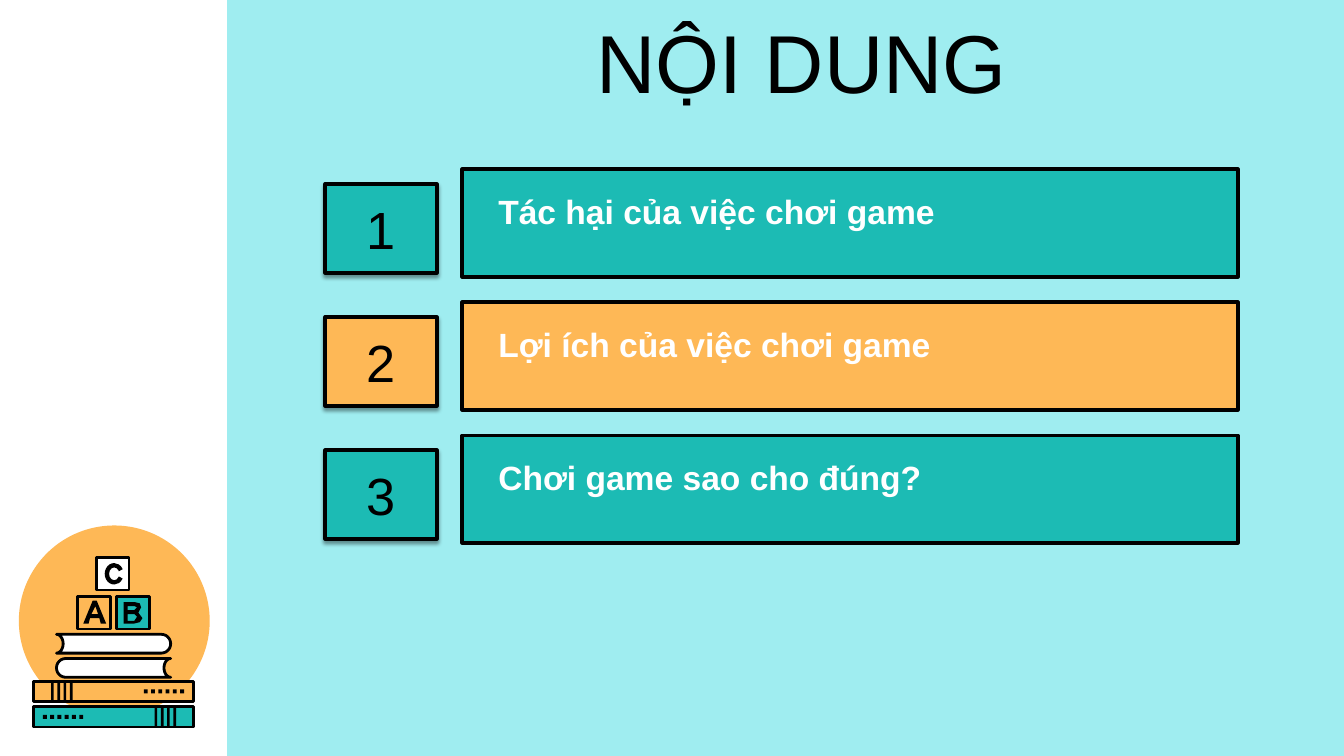
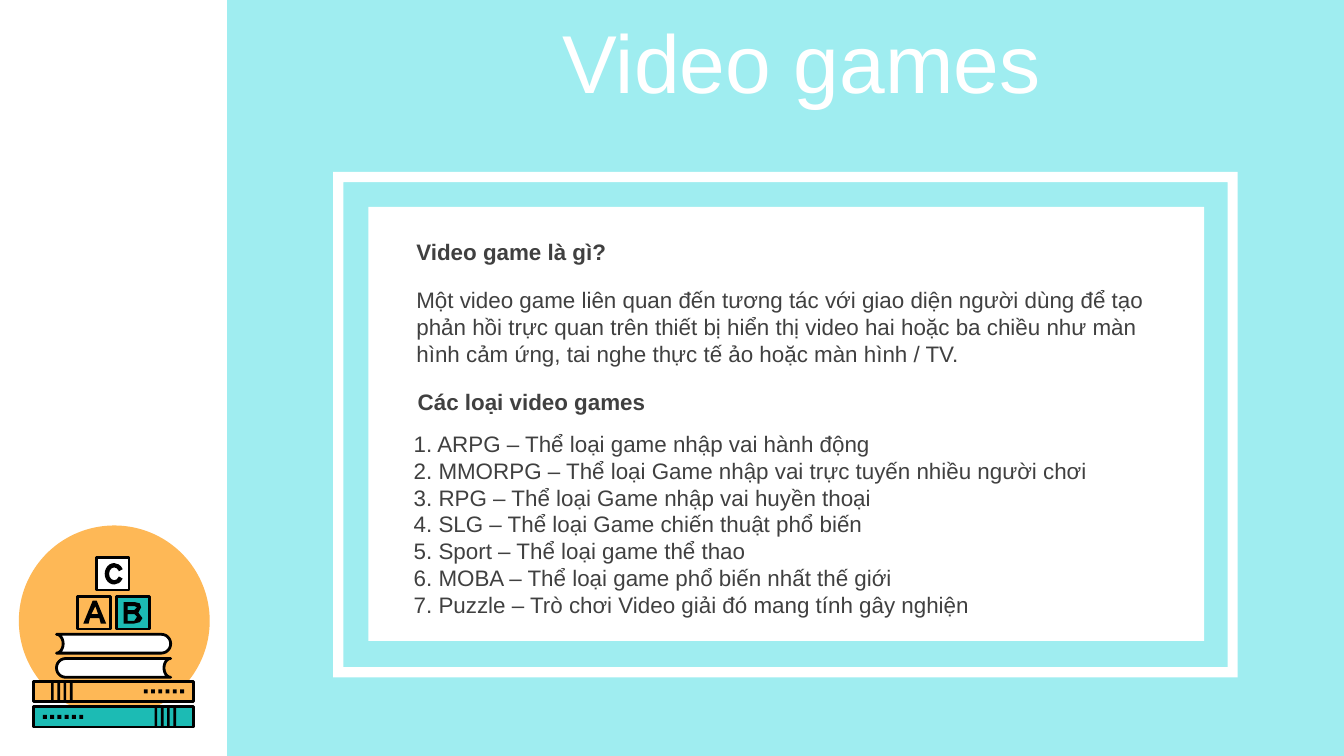
from dataclasses import dataclass
from math import cos, radians, sin

from lxml import etree
from pptx import Presentation
from pptx.dml.color import RGBColor as RGB
from pptx.enum.shapes import MSO_SHAPE as Kind
from pptx.enum.text import MSO_ANCHOR as Anchor, MSO_AUTO_SIZE as Fit, PP_ALIGN as Align
from pptx.oxml.ns import qn
from pptx.util import Inches, Pt


@dataclass(frozen=True)
class Theme:
    aqua: str = "9FEDF0"
    teal: str = "1CBBB4"
    gold: str = "FEB856"
    white: str = "FFFFFF"
    black: str = "000000"
    gray: str = "404040"
    font: str = "Arial"
    title: int = 44
    number: int = 28
    topic: int = 18
    body: int = 12


look = Theme()


def paint(shape, fill, line=0):
    """Give a shape its fill and, if a width is set, a black outline."""
    shape.shadow.inherit = False
    shape.fill.solid()
    shape.fill.fore_color.rgb = RGB.from_string(fill)
    if line:
        shape.line.color.rgb = RGB.from_string(look.black)
        shape.line.width = Pt(line)
    else:
        shape.line.fill.background()
    return shape


def write(shape, lines, size, color, bold=False, align=Align.LEFT, **form):
    """Put one paragraph per line in a shape; form holds frame settings."""
    frame = shape.text_frame
    frame.text = "\n".join(lines)
    for name, value in form.items():
        setattr(frame, name, value)
    style = {"name": look.font, "size": Pt(size), "bold": bold}
    for para in frame.paragraphs:
        para.alignment = align
        for run in para.runs:
            for name, value in style.items():
                setattr(run.font, name, value)
            run.font.color.rgb = RGB.from_string(color)


# Widescreen 16:9
wide = 10
tall = wide * 9 / 16
deck = Presentation()
deck.slide_width, deck.slide_height = Inches(wide), Inches(tall)
base = deck.slide_layouts[5]

# Layout: keep only the title placeholder
for holder in list(base.placeholders):
    if holder.placeholder_format.idx:
        holder.element.getparent().remove(holder.element)
head = base.placeholders[0]
place = {"left": 1.93, "top": 0.03, "width": 8.07, "height": 0.84}
for name, value in place.items():
    setattr(head, name, Inches(value))

# Titles
pages = []
for text, color in (("NỘI DUNG", look.black), ("Video games", look.white)):
    page = deck.slides.add_slide(base)
    write(page.shapes.title, [text], look.title, color, align=Align.CENTER,
          auto_size=Fit.NONE, vertical_anchor=Anchor.MIDDLE, word_wrap=True)
    pages.append(page)
menu, games = (page.shapes for page in pages)

# Shared panel and badge: plain parts
span = 1.69
parts = [
    (Kind.RECTANGLE, (span, 0, wide - span, tall), look.aqua, 0),
    (Kind.OVAL, (0.14, 3.91, 1.42, 1.42), look.gold, 0),
]
for top, fill, flip in ((5.07, look.gold, False), (5.26, look.teal, True)):
    parts.append((Kind.RECTANGLE, (0.25, top, 1.19, 0.15), fill, 1.5))
    marks = [(0.38 + 0.14 * i / 3, top, 0.02, 0.15) for i in range(4)]
    marks += [(1.07 + 0.27 * i / 5, top + 0.06, 0.03, 0.03) for i in range(6)]
    for x, y, w, h in marks:
        x = span - x - w if flip else x
        parts.append((Kind.RECTANGLE, (x, y, w, h), look.black, 0))
for x, y, fill in ((0.58, 4.44, look.gold), (0.87, 4.44, look.teal),
                   (0.72, 4.15, look.white)):
    parts.append((Kind.RECTANGLE, (x, y, 0.24, 0.24), fill, 1.5))
parts.append((Kind.BLOCK_ARC, (0.78, 4.19, 0.14, 0.16), look.black, 0))

decor = []
for kind, area, fill, line in parts:
    decor.append(paint(menu.add_shape(kind, *map(Inches, area)), fill, line))
for i, value in enumerate((17.57, 198.9, 0.23)):
    decor[-1].adjustments[i] = value

# Shared badge: block letters and two books
let_a = [[(0.71, 4.51), (0.68, 4.57), (0.73, 4.57)],
         [(0.69, 4.47), (0.72, 4.47), (0.79, 4.64), (0.75, 4.64),
          (0.74, 4.6), (0.67, 4.6), (0.66, 4.64), (0.62, 4.64)]]
let_b = [[(0.95, 4.57), (0.95, 4.62), (1, 4.62), (1.02, 4.59), (1, 4.57)],
         [(0.95, 4.51), (0.95, 4.54), (1, 4.54), (1.02, 4.52), (1, 4.51)],
         [(0.92, 4.48), (1, 4.48), (1.04, 4.49), (1.05, 4.52), (1.03, 4.56),
          (1.06, 4.6), (1.04, 4.63), (1, 4.64), (0.92, 4.64)]]
drawn = [(let_a, look.black, 0), (let_b, look.black, 0)]
turns = [radians(step) for step in range(-90, 91, 15)]
for mid, flip in ((4.79, False), (4.97, True)):
    edge = [(1.2 + 0.07 * cos(t), mid + 0.07 * sin(t)) for t in turns]
    edge += [(0.42 + 0.05 * cos(t), mid - 0.07 * sin(t)) for t in turns]
    if flip:
        edge = [(span - x, y) for x, y in edge]
    drawn.append(([edge], look.white, 1.5))

for loops, fill, line in drawn:
    pen = None
    for loop in loops:
        dots = [(Inches(x), Inches(y)) for x, y in loop]
        if pen:
            pen.move_to(*dots[0])
        else:
            pen = menu.build_freeform(*dots[0])
        pen.add_line_segments(dots[1:], close=True)
    decor.append(paint(pen.convert_to_shape(), fill, line))

# Hand the shared parts to the layout
for shape in decor:
    base.shapes.element.append(shape.element)

# Slide 1: numbered topics
topics = ["Tác hại của việc chơi game", "Lợi ích của việc chơi game",
          "Chơi game sao cho đúng?"]
for i, topic in enumerate(topics):
    drop = 0.99 * i
    fill = look.gold if i % 2 else look.teal
    area = (2.42, 1.37 + drop, 0.83, 0.66)
    tile = paint(menu.add_shape(Kind.RECTANGLE, *map(Inches, area)), fill, 2)
    write(tile, [str(i + 1)], look.number, look.black, align=Align.CENTER,
          vertical_anchor=Anchor.MIDDLE, word_wrap=False)
    glow = etree.SubElement(
        tile.element.spPr.find(qn("a:effectLst")), qn("a:outerShdw"),
        blurRad=str(Pt(2)), dist=str(Pt(1.5)), dir="5400000", rotWithShape="0")
    tint = etree.SubElement(glow, qn("a:srgbClr"), val=look.black)
    etree.SubElement(tint, qn("a:alpha"), val="40000")

    area = (3.44, 1.26 + drop, 5.77, 0.8)
    paint(menu.add_shape(Kind.RECTANGLE, *map(Inches, area)), fill, 2)
    area = (3.61, 1.37 + drop, 5.2, 0.4)
    write(menu.add_textbox(*map(Inches, area)), [topic], look.topic, look.white,
          bold=True, word_wrap=True, auto_size=Fit.SHAPE_TO_FIT_TEXT)

# Slide 2: framed card
area = (2.48, 1.28, 6.73, 3.76)
rim = paint(games.add_shape(Kind.FRAME, *map(Inches, area)), look.white)
rim.adjustments[0] = 0.02
area = (2.74, 1.54, 6.22, 3.23)
paint(games.add_shape(Kind.RECTANGLE, *map(Inches, area)), look.white)

# Slide 2: card text
about = ("Một video game liên quan đến tương tác với giao diện người dùng để tạo "
         "phản hồi trực quan trên thiết bị hiển thị video hai hoặc ba chiều như "
         "màn hình cảm ứng, tai nghe thực tế ảo hoặc màn hình / TV.")
types = ["1. ARPG – Thể loại game nhập vai hành động",
         "2. MMORPG – Thể loại Game nhập vai trực tuyến nhiều người chơi",
         "3. RPG – Thể loại Game nhập vai huyền thoại",
         "4. SLG – Thể loại Game chiến thuật phổ biến",
         "5. Sport – Thể loại game thể thao",
         "6. MOBA – Thể loại game phổ biến nhất thế giới",
         "7. Puzzle – Trò chơi Video giải đó mang tính gây nghiện"]
for x, y, high, lines, bold in (
        (3, 2.08, 0.71, [about], False),
        (3, 1.72, 0.3, ["Video game là gì?"], True),
        (3.01, 2.84, 0.3, ["Các loại video games"], True),
        (2.98, 3.15, 1.51, types, False)):
    note = games.add_textbox(*map(Inches, (x, y, 5.77, high)))
    write(note, lines, look.body, look.gray, bold=bold, word_wrap=True,
          auto_size=Fit.SHAPE_TO_FIT_TEXT)

deck.save("out.pptx")
